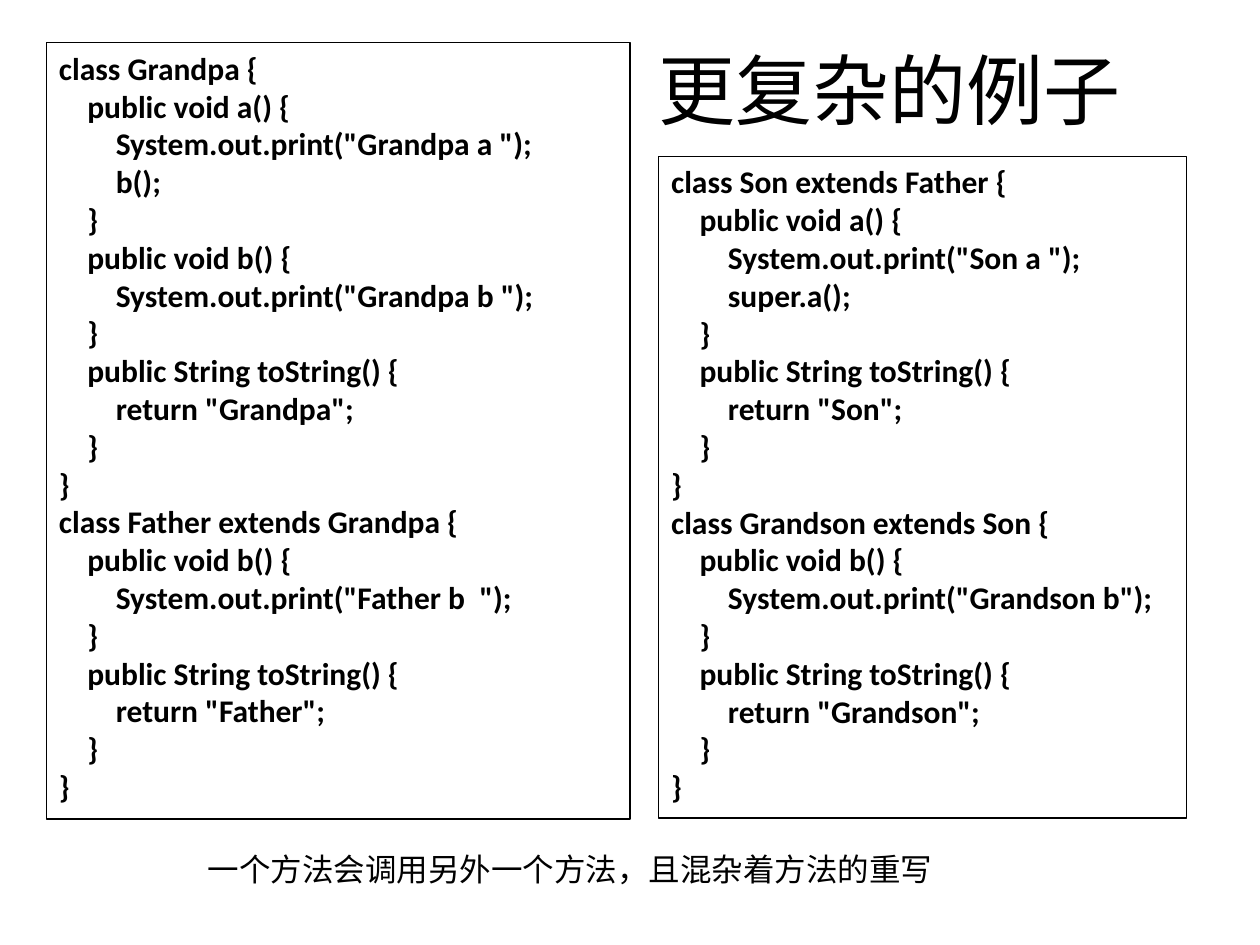
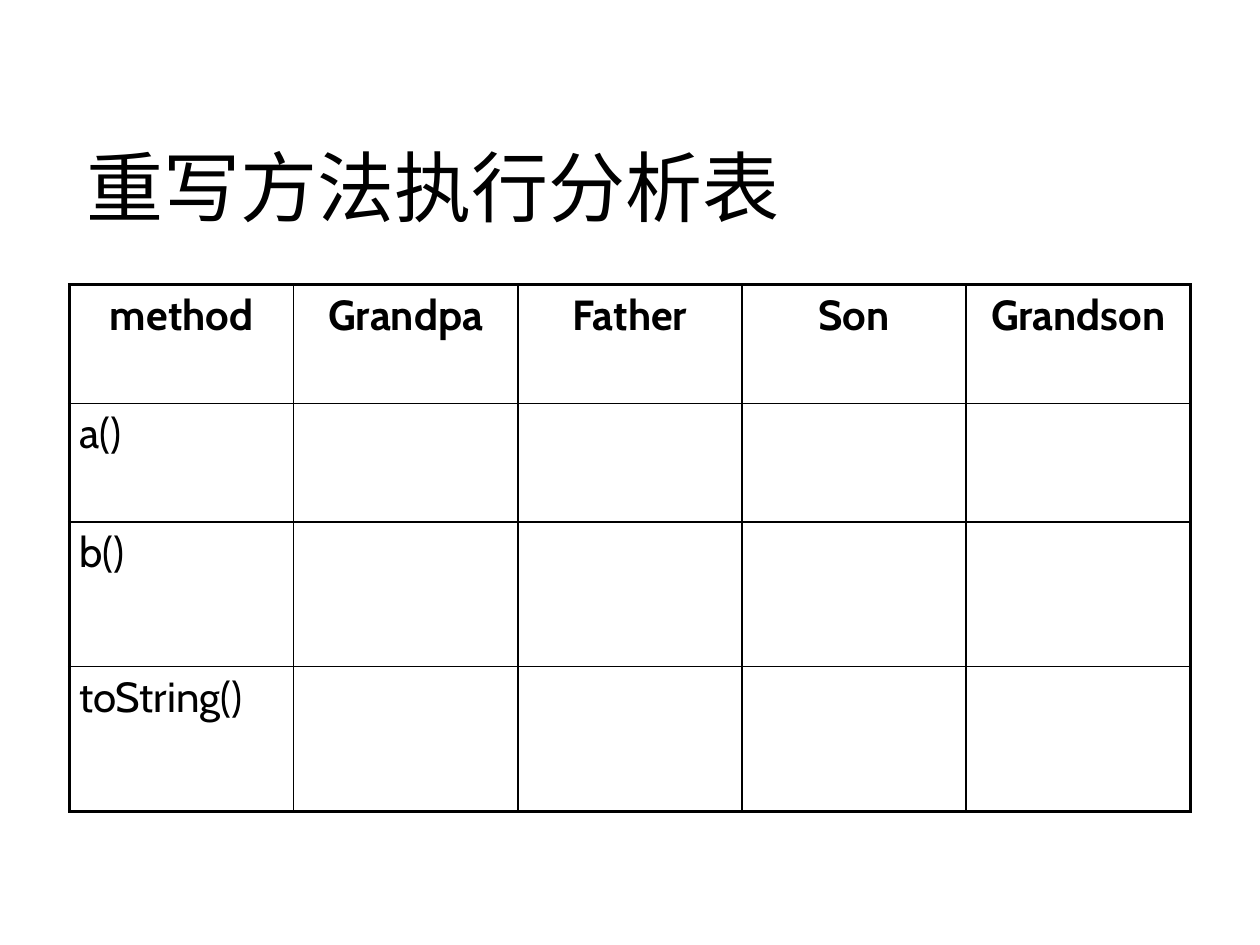
"""Build two slides on overriding methods: class listings and an analysis table."""
from dataclasses import dataclass
from typing import Any

from lxml.etree import SubElement
from pptx import Presentation
from pptx.dml.color import RGBColor
from pptx.enum.shapes import MSO_SHAPE
from pptx.enum.text import MSO_ANCHOR, MSO_AUTO_SIZE, PP_ALIGN
from pptx.oxml.ns import qn
from pptx.util import Cm, Pt

HUES = {"ink": "000000"}
INK = RGBColor.from_string(HUES["ink"])
THICK, THIN = Pt(2.25), Pt(1)

HEAD = {"size": Pt(44), "name": "Arial"}
NOTE = {"size": Pt(18), "name": "Arial"}
CODE = {"size": Pt(18), "name": "Calibri", "bold": True}
CELL = {"size": Pt(24), "name": "Cabin"}
HEAD_FRAME = {
    "word_wrap": True,
    "vertical_anchor": MSO_ANCHOR.BOTTOM,
    "margin_left": 0,
    "margin_top": Cm(0.1),
    "margin_right": 0,
    "margin_bottom": 0,
}
BODY_FRAME = {
    "word_wrap": True,
    "vertical_anchor": MSO_ANCHOR.TOP,
    "auto_size": MSO_AUTO_SIZE.SHAPE_TO_FIT_TEXT,
}
CELL_PAD = {
    "margin_left": Cm(0.2),
    "margin_top": Cm(0.1),
    "margin_right": Cm(0.2),
    "margin_bottom": Cm(0.1),
}

ELDERS = """class Grandpa {
    public void a() {
        System.out.print("Grandpa a ");
        b();
    }
    public void b() {
        System.out.print("Grandpa b ");
    }
    public String toString() {
        return "Grandpa";
    }
}
class Father extends Grandpa {
    public void b() {
        System.out.print("Father b  ");
    }
    public String toString() {
        return "Father";
    }
}"""

HEIRS = """class Son extends Father {
    public void a() {
        System.out.print("Son a ");
        super.a();
    }
    public String toString() {
        return "Son";
    }
}
class Grandson extends Son {
    public void b() {
        System.out.print("Grandson b");
    }
    public String toString() {
        return "Grandson";
    }
}"""

COLS = ["method", "Grandpa", "Father", "Son", "Grandson"]
CALLS = ["a()", "b()", "toString()"]
HEIGHTS = [2.39, 2.39, 2.92, 2.92]
WIDTH = 4.52


@dataclass(frozen=True)
class Box:
    """Text with its place in centimetres."""

    text: str
    left: float
    top: float
    width: float
    height: float

    def place(self) -> tuple[Cm, Cm, Cm, Cm]:
        """Return the place as lengths."""
        return Cm(self.left), Cm(self.top), Cm(self.width), Cm(self.height)


def apply(item: Any, form: dict[str, Any]) -> None:
    """Set each format value on the item."""
    for key, value in form.items():
        setattr(item, key, value)


def write(frame: Any, text: str, font: dict[str, Any], **para: Any) -> None:
    """Write one paragraph, with line breaks kept, in the given font."""
    line = frame.paragraphs[0]
    line.text = text
    apply(line, para)
    for run in line.runs:
        apply(run.font, font)
        run.font.color.rgb = INK


def add_head(slide: Any, box: Box, font: dict[str, Any]) -> None:
    """Add a slide title."""
    frame = slide.shapes.add_textbox(*box.place()).text_frame
    apply(frame, HEAD_FRAME)
    write(frame, box.text, font, line_spacing=0.9)


def add_note(slide: Any, box: Box) -> None:
    """Add a plain line of text."""
    frame = slide.shapes.add_textbox(*box.place()).text_frame
    apply(frame, BODY_FRAME)
    write(frame, box.text, NOTE)


def add_code(slide: Any, box: Box) -> None:
    """Add a framed code listing."""
    shape = slide.shapes.add_shape(MSO_SHAPE.RECTANGLE, *box.place())
    shape.shadow.inherit = False
    shape.fill.background()
    shape.line.color.rgb = INK
    shape.line.width = Pt(0.75)
    apply(shape.text_frame, BODY_FRAME)
    write(shape.text_frame, box.text, CODE, alignment=PP_ALIGN.LEFT)


def rule(cell: Any, sides: dict[str, int]) -> None:
    """Draw the borders of a cell, in schema order."""
    props = cell._tc.get_or_add_tcPr()
    for side, width in sides.items():
        line = SubElement(props, qn(f"a:ln{side}"), w=str(width))
        fill = SubElement(line, qn("a:solidFill"))
        SubElement(fill, qn("a:srgbClr"), val=HUES["ink"])


def add_grid(slide: Any, left: float, top: float) -> None:
    """Add the table of calls by class."""
    rows, cols = len(HEIGHTS), len(COLS)
    size = Cm(WIDTH * cols), Cm(sum(HEIGHTS))
    grid = slide.shapes.add_table(rows, cols, Cm(left), Cm(top), *size).table
    apply(grid, {"first_row": False, "horz_banding": False})
    for col in grid.columns:
        col.width = Cm(WIDTH)
    for row, height in zip(grid.rows, HEIGHTS):
        row.height = Cm(height)
    for r in range(rows):
        for c in range(cols):
            cell = grid.cell(r, c)
            apply(cell, CELL_PAD)
            edges = {"L": c == 0, "R": c == cols - 1, "T": r == 0, "B": r == rows - 1}
            rule(cell, {side: THICK if edge else THIN for side, edge in edges.items()})
            cell.fill.background()
    for c, name in enumerate(COLS):
        write(grid.cell(0, c).text_frame, name, CELL | {"bold": True},
              alignment=PP_ALIGN.CENTER)
    for r, call in enumerate(CALLS, 1):
        write(grid.cell(r, 0).text_frame, call, CELL)


def main() -> None:
    """Build and save the deck."""
    deck = Presentation()
    apply(deck, {"slide_width": Cm(25.4), "slide_height": Cm(19.05)})
    blank = deck.slide_layouts[6]

    slide = deck.slides.add_slide(blank)
    add_code(slide, Box(HEIRS, 13.28, 3.15, 10.64, 13.34))
    add_code(slide, Box(ELDERS, 0.94, 0.86, 11.76, 15.65))
    add_head(slide, Box("更复杂的例子", 13.28, 0.53, 10.06, 2.21), HEAD)
    add_note(slide, Box("一个方法会调用另外一个方法，且混杂着方法的重写",
                        3.94, 17.02, 17.53, 1.02))

    slide = deck.slides.add_slide(blank)
    add_head(slide, Box("重写方法执行分析表", 1.75, 1.02, 21.89, 3.68),
             HEAD | {"name": "Calibri"})
    add_grid(slide, 1.4, 5.74)

    deck.save("out.pptx")


if __name__ == "__main__":
    main()
